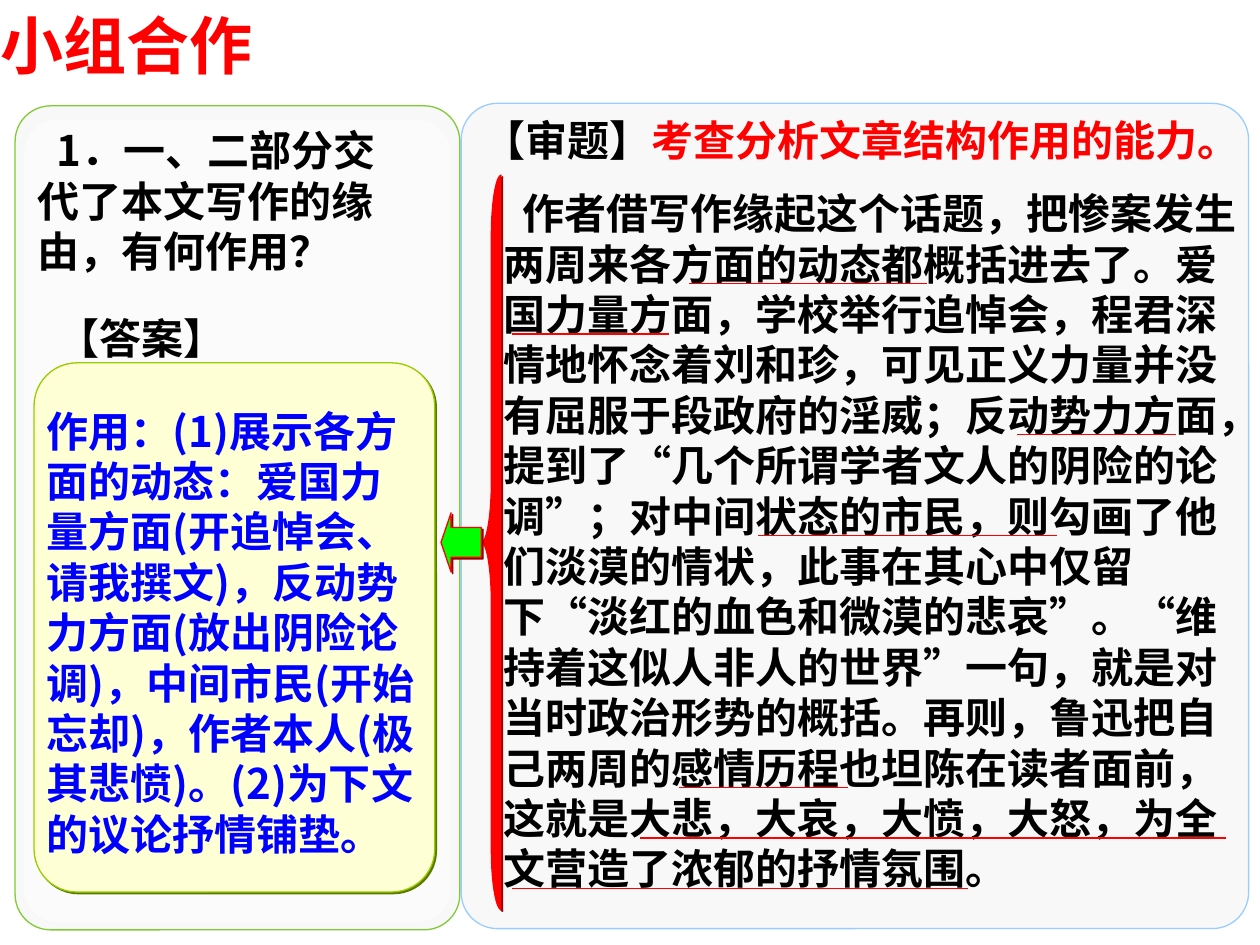
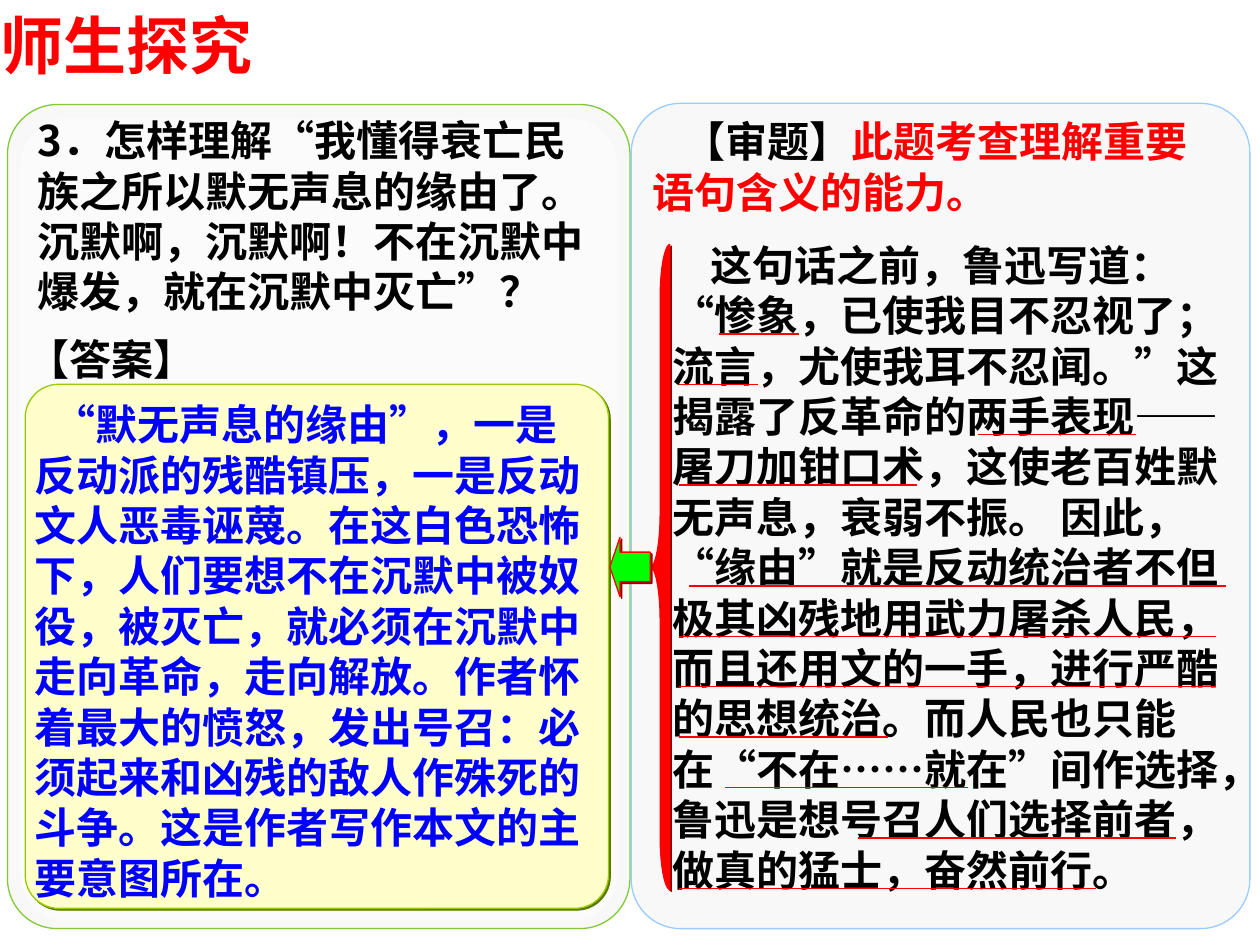
from dataclasses import dataclass

from lxml.etree import SubElement
from pptx import Presentation
from pptx.dml.color import RGBColor
from pptx.enum.shapes import MSO_CONNECTOR as Connector, MSO_SHAPE as Shape
from pptx.enum.text import MSO_ANCHOR as Anchor, MSO_AUTO_SIZE as AutoSize, PP_ALIGN as Align
from pptx.oxml.ns import qn
from pptx.util import Inches, Pt

COLUMNS, ROWS = 100, 75
WIDTH, HEIGHT = Inches(10), Inches(7.5)


@dataclass(frozen=True)
class Theme:
    red: str = "FF0000"
    black: str = "000000"
    blue: str = "0000FF"
    green: str = "00FF00"
    panel: str = "F8F8F8"
    white: str = "FFFFFF"
    left_edge: str = "80CB35"
    right_edge: str = "99CCFF"
    answer_edge: str = "99CC00"
    answer_shadow: str = "5B7900"
    red_shadow: str = "980000"
    text_shadow: str = "808080"
    label_font: str = "Arial"
    body_font: str = "Noto Sans CJK SC"
    title_size: int = 36
    body_size: int = 24
    line_width: float = 0.75
    leading: float = 1.2


def add_shadow(effects, color):
    shadow = SubElement(effects, qn("a:outerShdw"), dist=str(Pt(1.4)), dir="2700000", algn="ctr", rotWithShape="0")
    SubElement(shadow, qn("a:srgbClr"), val=color)


def write(frame, runs, theme, size=None, indent=0, shadow=True, insets=(0.1, 0.08, 0.1, 0.05), anchor=Anchor.TOP):
    size = size or theme.body_size
    frame.word_wrap = True
    frame.auto_size = AutoSize.NONE
    frame.vertical_anchor = anchor
    frame.margin_left, frame.margin_top, frame.margin_right, frame.margin_bottom = map(Inches, insets)
    paragraph = frame.paragraphs[0]
    paragraph.alignment = Align.LEFT
    paragraph.line_spacing = Pt(size * theme.leading)
    paragraph.space_before = Pt(0)
    if indent:
        properties = paragraph._p.get_or_add_pPr()
        properties.set("marL", "0")
        properties.set("indent", str(Inches(indent)))
    for text, color, font_name in runs:
        run = paragraph.add_run()
        run.text = text
        font = run.font
        font.size, font.bold = Pt(size), True
        font.color.rgb = RGBColor.from_string(color)
        run_properties = run._r.get_or_add_rPr()
        if shadow:
            add_shadow(SubElement(run_properties, qn("a:effectLst")), theme.text_shadow)
        font.name = font_name
        SubElement(run_properties, qn("a:ea"), typeface=theme.body_font)


class Board:
    def __init__(self, presentation, theme):
        self.presentation, self.theme = presentation, theme
        self.slide = None

    def place(self, left, top, width, height):
        return (round(left * WIDTH / COLUMNS), round(top * HEIGHT / ROWS),
                round(width * WIDTH / COLUMNS), round(height * HEIGHT / ROWS))

    def start(self, title):
        theme = self.theme
        self.slide = self.presentation.slides.add_slide(self.presentation.slide_layouts[5])
        shape = self.slide.shapes.title
        shape.left, shape.top, shape.width, shape.height = self.place(0, 0, 33.5, 6)
        write(shape.text_frame, [(title, theme.red, theme.label_font)], theme,
              size=theme.title_size, insets=(0, 0.05, 0, 0))

    def shape(self, kind, area, fill, edge=None, shadow=None, adjust=()):
        shape = self.slide.shapes.add_shape(kind, *self.place(*area))
        for index, value in enumerate(adjust):
            shape.adjustments[index] = value
        shape.fill.solid()
        shape.fill.fore_color.rgb = RGBColor.from_string(fill)
        if edge:
            shape.line.color.rgb = RGBColor.from_string(edge)
            shape.line.width = Pt(self.theme.line_width)
        else:
            shape.line.fill.background()
        shape.shadow.inherit = False
        if shadow:
            add_shadow(shape._element.spPr.find(qn("a:effectLst")), shadow)
        return shape

    def panel(self, area, edge, corner=0.08):
        return self.shape(Shape.ROUNDED_RECTANGLE, area, self.theme.panel, edge, adjust=[corner])

    def question_panel(self, area):
        self.panel(area, self.theme.left_edge)
        left, top, width, height = area
        margin = width * 0.02
        inner = (left + margin, top + 1.1, width - 2 * margin, height - 1.7)
        veil = self.shape(Shape.ROUNDED_RECTANGLE, inner, self.theme.white, adjust=[0.08])
        color = veil._element.spPr.find(qn("a:solidFill"))[0]
        SubElement(color, qn("a:alpha"), val="50000")

    def text(self, area, *runs, indent=0):
        box = self.slide.shapes.add_textbox(*self.place(*area))
        write(box.text_frame, runs, self.theme, indent=indent)

    def body(self, area, text, indent=0):
        self.text(area, (text, self.theme.black, self.theme.body_font), indent=indent)

    def exam_point(self, area, text, indent=0):
        theme = self.theme
        self.text(area, ("【审题】", theme.black, theme.label_font),
                  (text, theme.red, theme.label_font), indent=indent)

    def answer(self, area, label_spot, text, fill, corner, indent=0):
        theme = self.theme
        shape = self.shape(Shape.ROUNDED_RECTANGLE, area, fill, theme.answer_edge,
                           theme.answer_shadow, [corner])
        write(shape.text_frame, [(text, theme.blue, theme.body_font)], theme, indent=indent,
              shadow=False, insets=(0, 0.07, 0, 0), anchor=Anchor.MIDDLE)
        self.text((*label_spot, 16, 5), ("【答案】", theme.black, theme.label_font))

    def brace_and_arrow(self, left, top, height):
        theme = self.theme
        brace_width, arrow_width, arrow_height = 1.6, 3.2, 4.7
        self.shape(Shape.LEFT_BRACE, (left, top, brace_width, height), theme.red, theme.red,
                   theme.red_shadow, [height / 12 / brace_width, 0.5])
        arrow_area = (left - arrow_width, top + (height - arrow_height) / 2, arrow_width, arrow_height)
        self.shape(Shape.LEFT_ARROW, arrow_area, theme.green, theme.red, theme.red_shadow, [0.5, 0.25])

    def underlines(self, spans):
        for text_line, start, end in spans:
            left, top, right, _ = self.place(start, 22.5 + 4 * text_line, end, 0)
            line = self.slide.shapes.add_connector(Connector.STRAIGHT, left, top, right, top)
            line.line.color.rgb = RGBColor.from_string(self.theme.red)
            line.line.width = Pt(self.theme.line_width)
            SubElement(line._element.spPr, qn("a:effectLst"))


def build_group_work(board):
    board.start("小组合作")
    board.panel((36.6, 8.2, 62.5, 65.5), board.theme.right_edge, corner=0.046)
    board.question_panel((1.2, 8.4, 35.3, 65.4))
    board.body((39, 14.1, 61, 57),
               "作者借写作缘起这个话题，把惨案发生两周来各方面的动态都概括进去了。爱国力量方面，"
               "学校举行追悼会，程君深情地怀念着刘和珍，可见正义力量并没有屈服于段政府的淫威；"
               "反动势力方面，提到了“几个所谓学者文人的阴险的论调”；对中间状态的市民，"
               "则勾画了他们淡漠的情状，此事在其心中仅留下“淡红的血色和微漠的悲哀”。"
               "“维持着这似人非人的世界”一句，就是对当时政治形势的概括。再则，"
               "鲁迅把自己两周的感情历程也坦陈在读者面前，这就是大悲，大哀，大愤，大怒，"
               "为全文营造了浓郁的抒情氛围。", indent=0.15)
    board.answer((2.7, 28.8, 31.8, 42), (3.6, 24),
                 "作用：(1)展示各方面的动态：爱国力量方面(开追悼会、请我撰文)，"
                 "反动势力方面(放出阴险论调)，中间市民(开始忘却)，作者本人(极其悲愤)。"
                 "(2)为下文的议论抒情铺垫。", fill="FFFFD5", corner=0.107)
    board.exam_point((37.4, 8.3, 62.6, 5), "考查分析文章结构作用的能力。")
    board.body((2, 9.1, 31.5, 13), "1．一、二部分交代了本文写作的缘由，有何作用？", indent=0.15)
    board.underlines([(0, 54.7, 73.6), (1, 40.6, 53.1), (3, 80.7, 93.3), (5, 60.2, 83.9),
                      (10, 53.9, 67.3), (11, 50.8, 97.3), (12, 40.6, 76.8)])
    board.brace_and_arrow(38.2, 13.9, 58.3)


def build_class_inquiry(board):
    theme = board.theme
    board.start("师生探究")
    board.question_panel((0.6, 8.3, 49.4, 65.4))
    board.panel((50.1, 8.2, 49.1, 65.5), theme.right_edge)
    board.body((2, 8.3, 45.7, 17),
               "3．怎样理解“我懂得衰亡民族之所以默无声息的缘由了。沉默啊，沉默啊！"
               "不在沉默中爆发，就在沉默中灭亡”？")
    board.answer((2, 30.5, 46.3, 41.6), (1.2, 25.7),
                 "“默无声息的缘由”，一是反动派的残酷镇压，一是反动文人恶毒诬蔑。"
                 "在这白色恐怖下，人们要想不在沉默中被奴役，被灭亡，就必须在沉默中走向革命，"
                 "走向解放。作者怀着最大的愤怒，发出号召：必须起来和凶残的敌人作殊死的斗争。"
                 "这是作者写作本文的主要意图所在。", fill="FFFFCC", corner=0.064, indent=0.15)
    board.text((52.4, 18.2, 46.5, 53),
               ("这句话之前，鲁迅写道： “惨象，已使我目不忍视了；流言，尤使我耳不忍闻。”"
                "这揭露了反革命的两手表现——屠刀加钳口术，这使老百姓默无声息，衰弱不振。 "
                "因此，“缘由”就是反动统治者不但极其凶残地用武力屠杀人民，而且还用文的一手，"
                "进行严酷的思想统治。而人民也只能在“不在", theme.black, theme.body_font),
               ("……就在”间作选择，", theme.black, theme.label_font),
               ("鲁迅是想号召人们选择前者，做真的猛士，奋然前行。", theme.black, theme.body_font),
               indent=0.3)
    board.exam_point((50.8, 8.4, 46.5, 9), "此题考查理解重要语句含义的能力。", indent=0.25)
    board.brace_and_arrow(51.6, 19.4, 51.2)
    board.underlines([(1, 57.1, 63.4), (2, 53.9, 60.2), (3, 77.6, 90.2), (4, 53.9, 72.8),
                      (6, 54.7, 97.3), (7, 53.9, 96.5), (8, 53.9, 96.5), (9, 53.9, 70.5),
                      (10, 57.5, 76.8), (11, 68.1, 93.3), (12, 53.9, 87)])


def main():
    presentation = Presentation()
    presentation.slide_width, presentation.slide_height = WIDTH, HEIGHT
    board = Board(presentation, Theme())
    build_group_work(board)
    build_class_inquiry(board)
    presentation.save("out.pptx")


if __name__ == "__main__":
    main()
